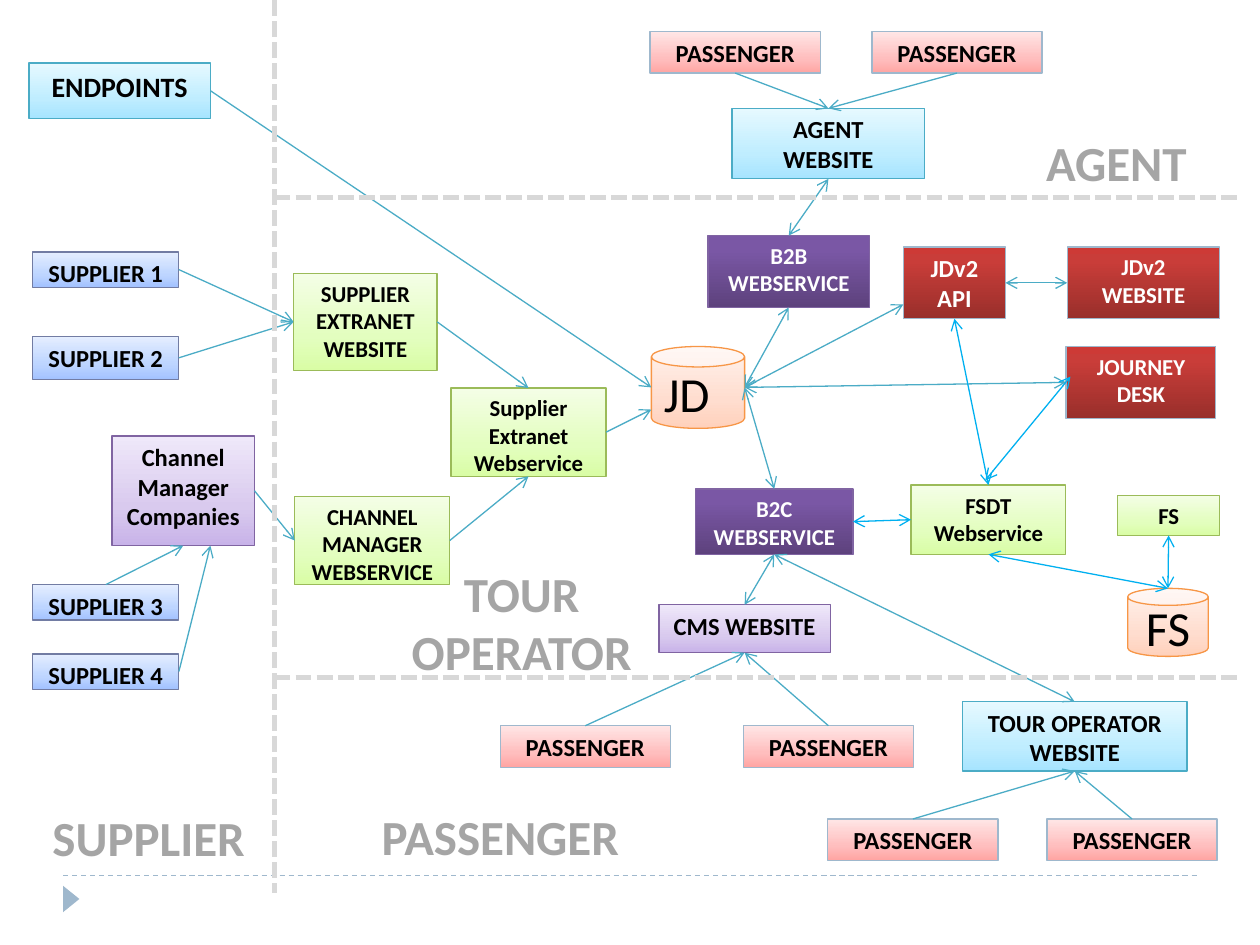
from copy import deepcopy

from lxml.etree import SubElement
from pptx import Presentation
from pptx.dml.color import RGBColor
from pptx.enum.dml import MSO_LINE
from pptx.enum.shapes import MSO_CONNECTOR, MSO_SHAPE
from pptx.enum.text import MSO_ANCHOR, PP_ALIGN
from pptx.oxml.ns import qn
from pptx.util import Inches, Pt

FONT = "Calibri"
COLORS = {"black": "000000", "white": "FFFFFF", "label": "A5A5A5", "divider": "D8D8D8",
          "footer": "9FB8CD", "teal": "4BACC6", "sky": "00B0F0"}
# Gradient stops from bottom to top, then outline and text colours
STYLES = {
    "red": ([(0, "992F2B"), (0.8, "C93D39"), (1, "CD3A36")], "9FB8CD", "white"),
    "violet": ([(0, "5D427D"), (0.8, "7A57A5"), (1, "7A56A7")], "8064A2", "white"),
    "green": ([(0, "D9FDA5"), (0.35, "E3FEBF"), (1, "F4FEE6")], "9BBB59", "black"),
    "blue": ([(0, "A3C2FF"), (0.35, "BDD5FF"), (1, "E5EEFF")], "727CA3", "black"),
    "pink": ([(0, "FFA5A3"), (0.35, "FFBEBE"), (1, "FFE6E6")], "9FB8CD", "black"),
    "cyan": ([(0, "A6E4FF"), (0.35, "BFEDFF"), (1, "E6F9FF")], "4BACC6", "black"),
    "lilac": ([(0, "C8B3E9"), (0.35, "D9CAEE"), (1, "EFE8FA")], "8064A2", "black"),
    "orange": ([(0, "FFD1BB"), (0.35, "FFDDCF"), (1, "FFF2ED")], "F79646", "black"),
}
# Points on a node as fractions of its width and height
TOP, BOTTOM, LEFT, RIGHT = (0.5, 0), (0.5, 1), (0, 0.5), (1, 0.5)

# Regions: left, top, width, height
SUPPLIER = (0, 0, 2.18, 7.09)
AGENT = (2.18, 0, 7.65, 1.57)
OPERATOR = (2.18, 1.57, 7.65, 3.81)
PASSENGER = (2.18, 5.38, 7.65, 1.57)

ONE_WAY = [
    ("endpoints", RIGHT, "main store", LEFT),
    ("supplier 1", RIGHT, "extranet site", LEFT),
    ("supplier 2", RIGHT, "extranet site", LEFT),
    ("supplier 3", TOP, "companies", BOTTOM),
    ("supplier 4", RIGHT, "companies", (0.69, 1)),
    ("companies", RIGHT, "channel service", LEFT),
    ("channel service", RIGHT, "extranet service", BOTTOM),
    ("extranet site", RIGHT, "extranet service", TOP),
    ("extranet service", RIGHT, "main store", (0, 0.77)),
    ("agent passenger 1", BOTTOM, "agent site", TOP),
    ("agent passenger 2", BOTTOM, "agent site", TOP),
    ("passenger 1", TOP, "content site", BOTTOM),
    ("passenger 2", TOP, "content site", BOTTOM),
    ("passenger 3", TOP, "operator site", BOTTOM),
    ("passenger 4", TOP, "operator site", BOTTOM),
]
TWO_WAY = [
    ("b2b", TOP, "agent site", BOTTOM),
    ("main store", RIGHT, "b2b", BOTTOM),
    ("main store", RIGHT, "b2c", TOP),
    ("main store", RIGHT, "api", (0, 0.8)),
    ("main store", RIGHT, "desk", LEFT),
    ("api", RIGHT, "api site", LEFT),
    ("b2c", BOTTOM, "content site", TOP),
    ("b2c", BOTTOM, "operator site", TOP),
]
TWO_WAY_SKY = [
    ("fs store", TOP, "fs", BOTTOM),
    ("fs store", TOP, "fsdt", BOTTOM),
    ("api", BOTTOM, "fsdt", TOP),
    ("desk", (0.03, 0.42), "fsdt", (0.48, -0.07)),
    ("fsdt", LEFT, "b2c", RIGHT),
]


def color(name):
    return RGBColor.from_string(COLORS.get(name, name))


def place(region, box):
    left, top, width, height = box
    return [Inches(value) for value in (region[0] + left, region[1] + top, width, height)]


def write(shape, text, size, ink, bold=True, align=PP_ALIGN.CENTER):
    frame = shape.text_frame
    frame.word_wrap = True
    frame.text = text
    for para in frame.paragraphs:
        para.alignment = align
        for span in para.runs:
            span.font.name, span.font.size, span.font.bold = FONT, Pt(size), bold
            span.font.color.rgb = color(ink)


def add_node(page, region, box, text, style, size=14, kind=MSO_SHAPE.RECTANGLE, align=PP_ALIGN.CENTER):
    stops, outline, ink = STYLES[style]
    shape = page.shapes.add_shape(kind, *place(region, box))
    shape.shadow.inherit = False
    shape.fill.gradient()
    shape.fill.gradient_angle = 90
    stop_list = shape.element.spPr.find(qn("a:gradFill")).find(qn("a:gsLst"))
    stop_list.append(deepcopy(stop_list[0]))
    for stop, (position, shade) in zip(shape.fill.gradient_stops, stops):
        stop.position = position
        stop.color.rgb = color(shade)
    shape.line.color.rgb = color(outline)
    shape.line.width = Pt(0.75)
    is_store = kind == MSO_SHAPE.CAN
    shape.text_frame.vertical_anchor = MSO_ANCHOR.MIDDLE if is_store else MSO_ANCHOR.TOP
    write(shape, text, size, ink, not is_store, align)
    return shape


def add_label(page, region, box, text):
    write(page.shapes.add_textbox(*place(region, box)), text, 28, "label")


def add_line(page, start, end, ink, width=0.75, dash=None, arrows=()):
    line = page.shapes.add_connector(MSO_CONNECTOR.STRAIGHT, *start, *end)
    line.line.color.rgb = color(ink)
    line.line.width = Pt(width)
    if dash:
        line.line.dash_style = dash
    for arrow in arrows:
        SubElement(line.element.spPr.find(qn("a:ln")), qn(f"a:{arrow}"), type="arrow")
    SubElement(line.element.spPr, qn("a:effectLst"))


def add_supplier_region(page, region):
    nodes = {"endpoints": add_node(page, region, (0.23, 0.5, 1.44, 0.44), "ENDPOINTS", "cyan", 16)}
    for number, (top, height) in enumerate([(2, 0.28), (2.67, 0.34), (4.64, 0.28), (5.19, 0.28)], 1):
        nodes[f"supplier {number}"] = add_node(
            page, region, (0.26, top, 1.16, height), f"SUPPLIER {number}", "blue")
    nodes["companies"] = add_node(
        page, region, (0.89, 3.46, 1.13, 0.87), "Channel Manager Companies", "lilac")
    add_label(page, region, (0.3, 6.36, 1.76, 0.41), "SUPPLIER")
    return nodes


def add_agent_region(page, region):
    nodes = {f"agent passenger {number}": add_node(
        page, region, (left, 0.25, 1.35, 0.33), "PASSENGER", "pink")
        for number, left in enumerate((2.98, 4.74), 1)}
    nodes["agent site"] = add_node(page, region, (3.63, 0.86, 1.53, 0.56), "AGENT\nWEBSITE", "cyan")
    add_label(page, region, (5.74, 1, 1.88, 0.41), "AGENT")
    return nodes


def add_operator_region(page, region):
    parts = {
        "extranet site": ((0.15, 0.6, 1.14, 0.77), "SUPPLIER\nEXTRANET\nWEBSITE", "green", 13),
        "channel service": ((0.16, 2.37, 1.23, 0.7), "CHANNEL\nMANAGER\nWEBSERVICE", "green", 13),
        "extranet service": ((1.4, 1.51, 1.23, 0.7), "Supplier Extranet Webservice", "green", 13),
        "b2b": ((3.44, 0.3, 1.28, 0.57), "B2B\nWEBSERVICE", "violet", 13),
        "b2c": ((3.34, 2.31, 1.25, 0.52), "B2C\nWEBSERVICE", "violet", 13),
        "content site": ((3.05, 3.23, 1.36, 0.38), "CMS WEBSITE", "lilac", 14),
        "api": ((4.99, 0.39, 0.81, 0.57), "JDv2\nAPI", "red", 14),
        "api site": ((6.29, 0.39, 1.21, 0.57), "JDv2\nWEBSITE", "red", 13),
        "desk": ((6.28, 1.18, 1.19, 0.57), "JOURNEY\nDESK", "red", 13),
        "fsdt": ((5.05, 2.28, 1.23, 0.55), "FSDT Webservice", "green", 13),
        "fs": ((6.69, 2.36, 0.81, 0.32), "FS", "green", 13),
        "main store": ((2.99, 1.18, 0.74, 0.65), "JD", "orange", 28, MSO_SHAPE.CAN, PP_ALIGN.LEFT),
        "fs store": ((6.77, 3.1, 0.64, 0.54), "FS", "orange", 28, MSO_SHAPE.CAN),
    }
    add_label(page, region, (0.9, 2.85, 2.12, 0.96), "TOUR OPERATOR")
    return {name: add_node(page, region, *part) for name, part in parts.items()}


def add_passenger_region(page, region):
    spots = [(1.79, 0.38), (3.72, 0.38), (4.39, 1.12), (6.13, 1.12)]
    nodes = {f"passenger {number}": add_node(
        page, region, (*spot, 1.35, 0.33), "PASSENGER", "pink")
        for number, spot in enumerate(spots, 1)}
    nodes["operator site"] = add_node(
        page, region, (5.46, 0.19, 1.78, 0.55), "TOUR OPERATOR WEBSITE", "cyan")
    add_label(page, region, (0.73, 0.97, 2.12, 0.41), "PASSENGER")
    return nodes


def connect(page, nodes, links, ink, arrows):
    def point(name, spot):
        node = nodes[name]
        return int(node.left + spot[0] * node.width), int(node.top + spot[1] * node.height)

    for source, source_spot, target, target_spot in links:
        add_line(page, point(source, source_spot), point(target, target_spot), ink, arrows=arrows)


def add_dividers(page):
    left, right = AGENT[0], AGENT[0] + AGENT[2]
    for x1, y1, x2, y2 in [(left, 0, left, SUPPLIER[3]),
                           *((left, area[1], right, area[1]) for area in (OPERATOR, PASSENGER))]:
        add_line(page, (Inches(x1), Inches(y1)), (Inches(x2), Inches(y2)),
                 "divider", 3, MSO_LINE.SQUARE_DOT)


def add_footer(page, region):
    left, top, width, _ = place(region, (0, 0, region[2], region[3]))
    add_line(page, (left, top), (left + width, top), "footer", dash=MSO_LINE.DASH)
    marker = page.shapes.add_shape(MSO_SHAPE.ISOSCELES_TRIANGLE, *place(region, (-0.04, 0.12, 0.21, 0.13)))
    marker.rotation = 90
    marker.shadow.inherit = False
    marker.fill.solid()
    marker.fill.fore_color.rgb = color("footer")
    marker.line.fill.background()


def main():
    deck = Presentation()
    deck.slide_width, deck.slide_height = Inches(10), Inches(7.5)
    page = deck.slides.add_slide(deck.slide_layouts[6])
    add_footer(page, (0.5, 6.95, 9, 0.4))
    nodes = {**add_supplier_region(page, SUPPLIER), **add_agent_region(page, AGENT),
             **add_operator_region(page, OPERATOR), **add_passenger_region(page, PASSENGER)}
    connect(page, nodes, ONE_WAY, "teal", ["tailEnd"])
    connect(page, nodes, TWO_WAY, "teal", ["headEnd", "tailEnd"])
    connect(page, nodes, TWO_WAY_SKY, "sky", ["headEnd", "tailEnd"])
    add_dividers(page)
    deck.save("out.pptx")


if __name__ == "__main__":
    main()
